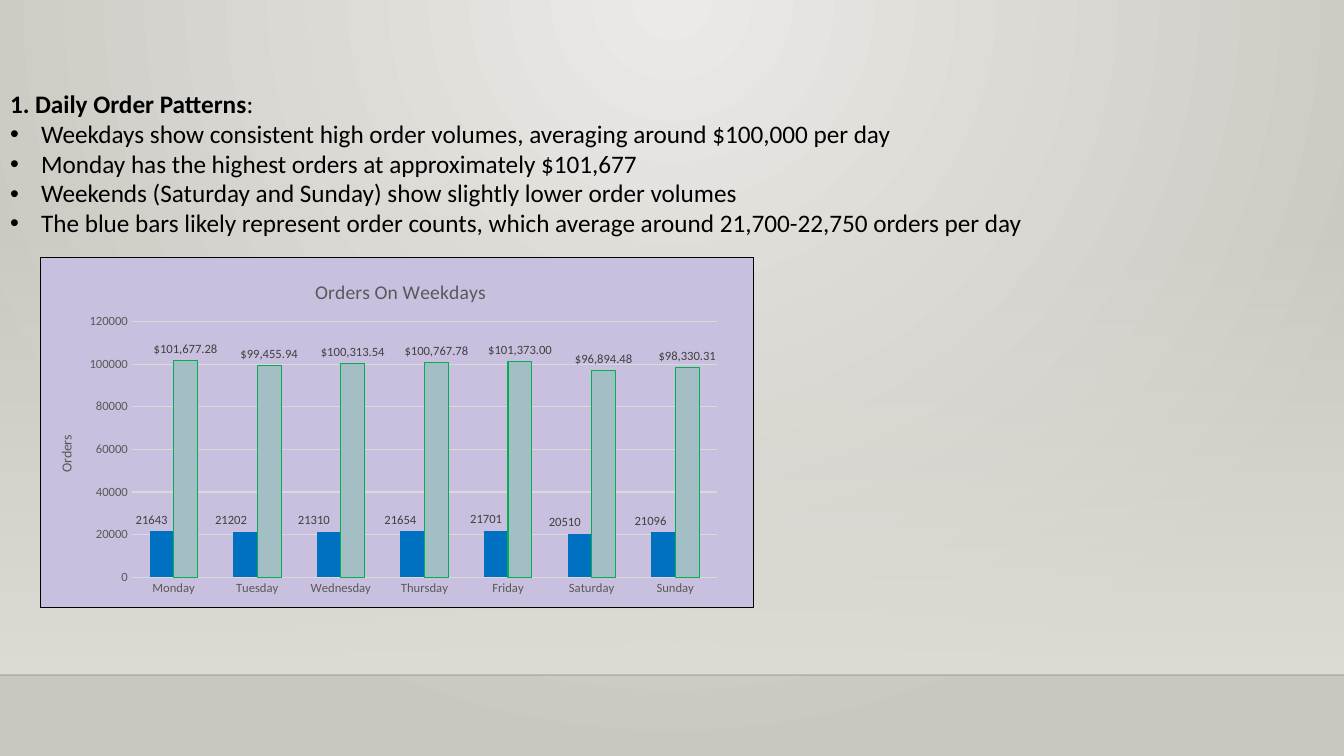
from pptx import Presentation
from pptx.chart.data import CategoryChartData
from pptx.dml.color import RGBColor
from pptx.enum.chart import XL_CHART_TYPE as ChartType
from pptx.enum.chart import XL_LABEL_POSITION as LabelPos
from pptx.enum.chart import XL_TICK_MARK as Tick
from pptx.enum.shapes import MSO_CONNECTOR as Connector
from pptx.enum.shapes import MSO_SHAPE as Shape
from pptx.enum.text import MSO_ANCHOR as Anchor
from pptx.enum.text import MSO_AUTO_SIZE as AutoSize
from pptx.oxml.xmlchemy import OxmlElement as Element
from pptx.util import Emu, Pt

# Content
FONT = "Calibri"
HEADING = [("Daily Order Patterns", True), (":", False)]
POINTS = [
    "Weekdays show consistent high order volumes, averaging around $100,000 per day",
    "Monday has the highest orders at approximately $101,677",
    "Weekends (Saturday and Sunday) show slightly lower order volumes",
    "The blue bars likely represent order counts, which average around 21,700-22,750 orders per day",
]
CHART_TITLE, AXIS_TITLE = "Orders On Weekdays", "Orders"
DAYS = ["Monday", "Tuesday", "Wednesday", "Thursday", "Friday", "Saturday", "Sunday"]
COUNTS = [21643, 21202, 21310, 21654, 21701, 20510, 21096]
SALES = [101677.28, 99455.94, 100313.54, 100767.78, 101373.00, 96894.48, 98330.31]
COUNT_LABEL_SHIFTS = [-10, -14, -15, -12, -10, -15, -13]  # px from the bar's middle

COLORS = {
    "glow": "ECEAE7", "edge": "CAC7C1", "wall": "DFDBD5", "floor_line": "000001",
    "text": "000000", "panel": "C9BFDF", "grid": "D9D9D9", "axis": "595959",
    "label": "404040", "counts": "0070C0", "sales": "A4BEC6", "sales_line": "00B050",
}

# Layout in px
SCALE = 914400 / 100.8
SLIDE_W, SLIDE_H = 1344, 756
WALL_TOP, FLOOR = 223, 675
BODY = (0, 85, 1059, 437)
CHART_W, CHART_H = 714, 351
CHART = (40, 257, CHART_W, CHART_H)


def px(n):
    return Emu(round(n * SCALE))


def box(sizes):
    return [px(n) for n in sizes]


def rgb(name):
    return RGBColor.from_string(COLORS[name])


def node(tag, parent=None, **attrs):
    el = Element(tag)
    for key, value in attrs.items():
        el.set(key, str(value))
    if parent is not None:
        parent.append(el)
    return el


def style(font, size, color, bold=False):
    font.name, font.size, font.bold = FONT, Pt(size), bold
    font.color.rgb = rgb(color)


def gradient(fill, *names):
    fill.gradient()
    for stop, name in zip(fill.gradient_stops, names):
        stop.color.rgb = rgb(name)


def outline(line, color, width=0.75):
    line.color.rgb = rgb(color)
    line.width = Pt(width)


def manual_layout(**values):
    layout = node("c:layout")
    manual = node("c:manualLayout", layout)
    for tag, value in values.items():
        node(f"c:{tag}", manual, val=value)
    return layout


def bullet(p, hang, tag, **attrs):
    p.line_spacing = 0.98
    p.space_before = p.space_after = Pt(0)
    pPr = p._p.get_or_add_pPr()
    pPr.set("marL", str(px(hang)))
    pPr.set("indent", str(px(-hang)))
    node(tag, pPr, **attrs)


def add_run(p, text, bold=False):
    r = p.add_run()
    r.text = text
    style(r.font, 18, "text", bold)


def add_title(owner, text, size, x, y):
    title = owner.chart_title if hasattr(owner, "chart_title") else owner.axis_title
    r = title.text_frame.paragraphs[0].add_run()
    r.text = text
    style(r.font, size, "axis")
    el = title._element
    for old in el.xpath("c:layout"):
        el.remove(old)
    el.xpath("c:tx")[0].addnext(manual_layout(xMode="edge", yMode="edge", x=x, y=y))


prs = Presentation()
prs.slide_width, prs.slide_height = px(SLIDE_W), px(SLIDE_H)
slide = prs.slides.add_slide(prs.slide_layouts[1])
shapes = slide.shapes
title_el = shapes.title._element
title_el.getparent().remove(title_el)

# Background: a glow from the top centre
gradient(slide.background.fill, "glow", "edge")
lin = slide._element.xpath(".//p:bg//a:lin")[0]
circle = node("a:path", path="circle")
node("a:fillToRect", circle, l=43000, t=0, r=43000, b=100000)
lin.getparent().replace(lin, circle)

# Wall fading in downwards, and floor line
wall = shapes.add_shape(Shape.RECTANGLE, *box((0, WALL_TOP, SLIDE_W, FLOOR - WALL_TOP)))
wall.shadow.inherit = False
wall.line.fill.background()
gradient(wall.fill, "wall", "wall")
wall.fill.gradient_angle = 270
node("a:alpha", wall._element.xpath(".//a:gs/a:srgbClr")[0], val=0)

floor = shapes.add_connector(Connector.STRAIGHT, *box((0, FLOOR, SLIDE_W, FLOOR)))
outline(floor.line, "floor_line", 1)
node("a:alpha", floor._element.xpath(".//a:ln//a:srgbClr")[0], val=20000)
node("a:effectLst", floor._element.spPr)

# Heading and bullets, in front of the wall
body = slide.placeholders[1]
body._element.getparent().append(body._element)
body.left, body.top, body.width, body.height = box(BODY)
tf = body.text_frame
tf.word_wrap, tf.auto_size, tf.vertical_anchor = True, AutoSize.NONE, Anchor.TOP
p = tf.paragraphs[0]
bullet(p, 25, "a:buAutoNum", type="arabicPeriod")
for text, bold in HEADING:
    add_run(p, text, bold)
for text in POINTS:
    p = tf.add_paragraph()
    bullet(p, 31, "a:buChar", char="•")
    add_run(p, text)

# Chart
data = CategoryChartData()
data.categories = DAYS
data.add_series("Series 1", COUNTS)
data.add_series("Series 2", SALES)
chart = shapes.add_chart(ChartType.COLUMN_CLUSTERED, *box(CHART), data).chart
style(chart.font, 10, "text")
chart.has_legend = False
chart.has_title = True
add_title(chart, CHART_TITLE, 14, 0.38, 0.05)

plot = chart.plots[0]
plot.gap_width, plot.overlap, plot.vary_by_categories = 150, 0, False
plot_area = chart._chartSpace.xpath("c:chart/c:plotArea")[0]
for old in plot_area.xpath("c:layout"):
    plot_area.remove(old)
plot_area.insert(0, manual_layout(layoutTarget="inner", xMode="edge", yMode="edge",
                                  x=0.128, y=0.183, w=0.821, h=0.731))

# Chart panel
panel = node("c:spPr")
node("a:srgbClr", node("a:solidFill", panel), val=COLORS["panel"])
border = node("a:ln", panel, w=Pt(0.75))
node("a:srgbClr", node("a:solidFill", border), val=COLORS["text"])
chart._chartSpace.xpath("c:chart")[0].addnext(panel)

# Axes
days_axis, value_axis = chart.category_axis, chart.value_axis
for axis in (days_axis, value_axis):
    axis.major_tick_mark = axis.minor_tick_mark = Tick.NONE
    style(axis.tick_labels.font, 9, "axis")
outline(days_axis.format.line, "grid")
value_axis.format.line.fill.background()
value_axis.minimum_scale, value_axis.maximum_scale, value_axis.major_unit = 0, 120000, 20000
value_axis.has_major_gridlines = True
outline(value_axis.major_gridlines.format.line, "grid")
value_axis.has_title = True
add_title(value_axis, AXIS_TITLE, 10, 0.02, 0.5)

# Series and labels
for s, color, number_format in zip(plot.series, ("counts", "sales"), ("0", "$#,##0.00")):
    s.format.fill.solid()
    s.format.fill.fore_color.rgb = rgb(color)
    labels = s.data_labels
    labels.show_value = True
    labels.position = LabelPos.OUTSIDE_END
    labels.number_format, labels.number_format_is_linked = number_format, False
    style(labels.font, 9, "label")

counts, sales = plot.series
outline(sales.format.line, "sales_line")
for i, shift in enumerate(COUNT_LABEL_SHIFTS):
    label = counts.points[i].data_label
    style(label.font, 9, "label")
    label.position = LabelPos.OUTSIDE_END
    idx = counts._element.xpath(f"c:dLbls/c:dLbl/c:idx[@val='{i}']")[0]
    idx.addnext(manual_layout(x=round(shift / CHART_W, 3), y=0))

prs.save("out.pptx")
